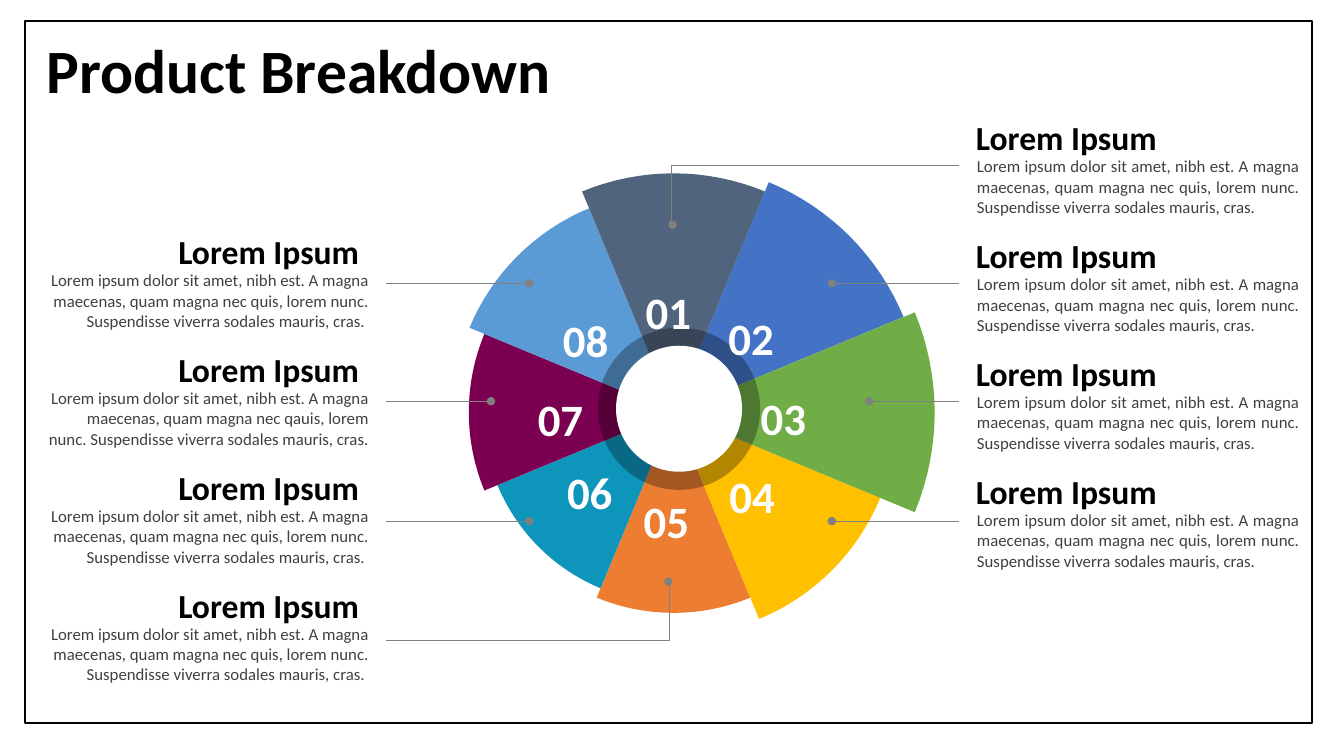
from math import cos, radians, sin

from lxml import etree
from pptx import Presentation
from pptx.dml.color import RGBColor
from pptx.enum.shapes import MSO_CONNECTOR, MSO_SHAPE
from pptx.enum.text import MSO_ANCHOR, MSO_AUTO_SIZE, PP_ALIGN
from pptx.oxml.ns import qn
from pptx.util import Emu, Pt

STRAIGHT, ELBOW = MSO_CONNECTOR.STRAIGHT, MSO_CONNECTOR.ELBOW
RECT, OVAL = MSO_SHAPE.RECTANGLE, MSO_SHAPE.OVAL
TOP, MIDDLE = MSO_ANCHOR.TOP, MSO_ANCHOR.MIDDLE
LEFT, RIGHT, CENTER, JUSTIFY = PP_ALIGN.LEFT, PP_ALIGN.RIGHT, PP_ALIGN.CENTER, PP_ALIGN.JUSTIFY
GROW = MSO_AUTO_SIZE.SHAPE_TO_FIT_TEXT

SCALE = 9144
BODY = ("Lorem ipsum dolor sit amet, nibh est. A magna maecenas, quam magna "
        "nec quis, lorem nunc. Suspendisse viverra sodales mauris, cras. ")
BODY_07 = BODY.replace("quis", "qauis")
HEADING_FONT = {"size": Pt(24), "bold": True}
BODY_FONT = {"size": Pt(12), "bold": False}
NUMBER_FONT = {"size": Pt(32), "bold": True}
TITLE_FONT = {"size": Pt(44), "bold": True}

# angle, radius, colour, number, number position within the wheel
SECTORS = [
    (90, 199, "ED7D31", "05", (163, 312)),
    (135, 189, "0D95BC", "06", (87, 284)),
    (180, 203, "7B0051", "07", (58, 211)),
    (225, 219, "5B9BD5", "08", (83, 133)),
    (270, 237, "51647E", "01", (165, 105)),
    (315, 247, "4472C4", "02", (247, 131)),
    (45, 222, "FFC000", "04", (248, 288)),
    (0, 259, "70AD47", "03", (279, 210)),
]
LEADERS = [
    (STRAIGHT, 825, 517, 951, 517), (STRAIGHT, 862, 398, 951, 398),
    (ELBOW, 663, 577, 383, 635), (STRAIGHT, 525, 281, 383, 281),
    (STRAIGHT, 487, 398, 383, 398), (STRAIGHT, 525, 517, 383, 517),
    (ELBOW, 667, 223, 951, 164), (STRAIGHT, 825, 281, 951, 281),
]


def px(n):
    return Emu(round(n * SCALE))


def rgb(value):
    return RGBColor.from_string(value)


def paint(sp, fill):
    sp.shadow.inherit = False
    sp.fill.solid()
    sp.fill.fore_color.rgb = rgb(fill)
    sp.line.fill.background()


def write(sp, text, font, color, align, **frame):
    tf = sp.text_frame
    for name, value in frame.items():
        setattr(tf, name, value)
    p = tf.paragraphs[0]
    p.alignment = align
    r = p.add_run()
    r.text = text
    for name, value in {"name": "Calibri", **font}.items():
        setattr(r.font, name, value)
    r.font.color.rgb = rgb(color)


def add_shape(shapes, kind, fill, *box):
    sp = shapes.add_shape(kind, *map(px, box))
    paint(sp, fill)
    return sp


def add_heading(s, x, y, w, h):
    title = s.shapes.title
    for name, value in zip(("left", "top", "width", "height"), (x, y, w, h)):
        setattr(title, name, px(value))
    write(title, "Product Breakdown", TITLE_FONT, "000000", LEFT, vertical_anchor=MIDDLE)
    title.text_frame.paragraphs[0].line_spacing = 0.9
    frame = add_shape(s.shapes, RECT, "FFFFFF", 25, 21, 1276, 696)
    frame.line.color.rgb = rgb("000000")
    frame.line.width = Pt(1.5)
    title.element.addprevious(frame.element)


def add_sector(shapes, cx, cy, angle, radius, color):
    arc = [radians(angle - 22.5 + 45 * i / 16) for i in range(17)]
    points = [(px(cx + radius * cos(a)), px(cy + radius * sin(a))) for a in arc]
    builder = shapes.build_freeform(px(cx), px(cy), 1)
    builder.add_line_segments(points, close=True)
    paint(builder.convert_to_shape(), color)


def add_wheel(s, x, y):
    shapes = s.shapes.add_group_shape().shapes
    for angle, radius, color, _, _ in SECTORS:
        add_sector(shapes, x + 203, y + 237, angle, radius, color)
    ring = add_shape(shapes, OVAL, "000000", x + 128, y + 153, 161, 161)
    color = ring.element.spPr.find(qn("a:solidFill"))[0]
    etree.SubElement(color, qn("a:alpha"), val="30000")
    add_shape(shapes, OVAL, "FFFFFF", x + 146, y + 171, 125, 125)


def add_numbers(s, x, y):
    for _, _, _, number, (dx, dy) in sorted(SECTORS, key=lambda sector: sector[3]):
        tb = s.shapes.add_textbox(px(x + dx), px(y + dy), px(66), px(64))
        write(tb, number, NUMBER_FONT, "FFFFFF", CENTER,
              word_wrap=False, auto_size=GROW, vertical_anchor=MIDDLE)


def add_leader(s, kind, *ends):
    cxn = s.shapes.add_connector(kind, *map(px, ends))
    cxn.line.color.rgb = rgb("808080")
    cxn.line.width = Pt(0.5)
    spPr = cxn.element.spPr
    etree.SubElement(spPr.find(qn("a:ln")), qn("a:headEnd"), type="oval")
    etree.SubElement(spPr, qn("a:effectLst"))
    if kind == ELBOW:
        guides = spPr.find(qn("a:prstGeom")).get_or_add_avLst()
        etree.SubElement(guides, qn("a:gd"), name="adj1", fmla="val -500")


def add_callout(s, x, y, body, heading_align, body_align):
    shapes = s.shapes.add_group_shape().shapes
    heading = shapes.add_textbox(px(x), px(y), px(321), px(50))
    write(heading, "Lorem Ipsum", HEADING_FONT, "000000", heading_align,
          word_wrap=True, auto_size=GROW, vertical_anchor=MIDDLE, margin_left=0)
    text = shapes.add_textbox(px(x + 1), px(y + 39), px(320), px(71))
    write(text, body, BODY_FONT, "404040", body_align, word_wrap=True,
          auto_size=GROW, vertical_anchor=TOP, margin_left=0, margin_right=0)


def add_callouts(s, x, y, bodies, heading_align, body_align):
    for i, body in enumerate(bodies):
        add_callout(s, x, y + 117 * i, body, heading_align, body_align)


def main():
    prs = Presentation()
    prs.slide_width, prs.slide_height = px(1333), px(750)
    s = prs.slides.add_slide(prs.slide_layouts[5])
    add_heading(s, 36, 32, 1150, 81)
    add_wheel(s, 465, 172)
    for leader in LEADERS:
        add_leader(s, *leader)
    add_callouts(s, 968, 111, [BODY] * 4, LEFT, JUSTIFY)
    add_callouts(s, 45, 224, [BODY, BODY_07, BODY, BODY], RIGHT, RIGHT)
    add_numbers(s, 465, 172)
    prs.save("out.pptx")


if __name__ == "__main__":
    main()
